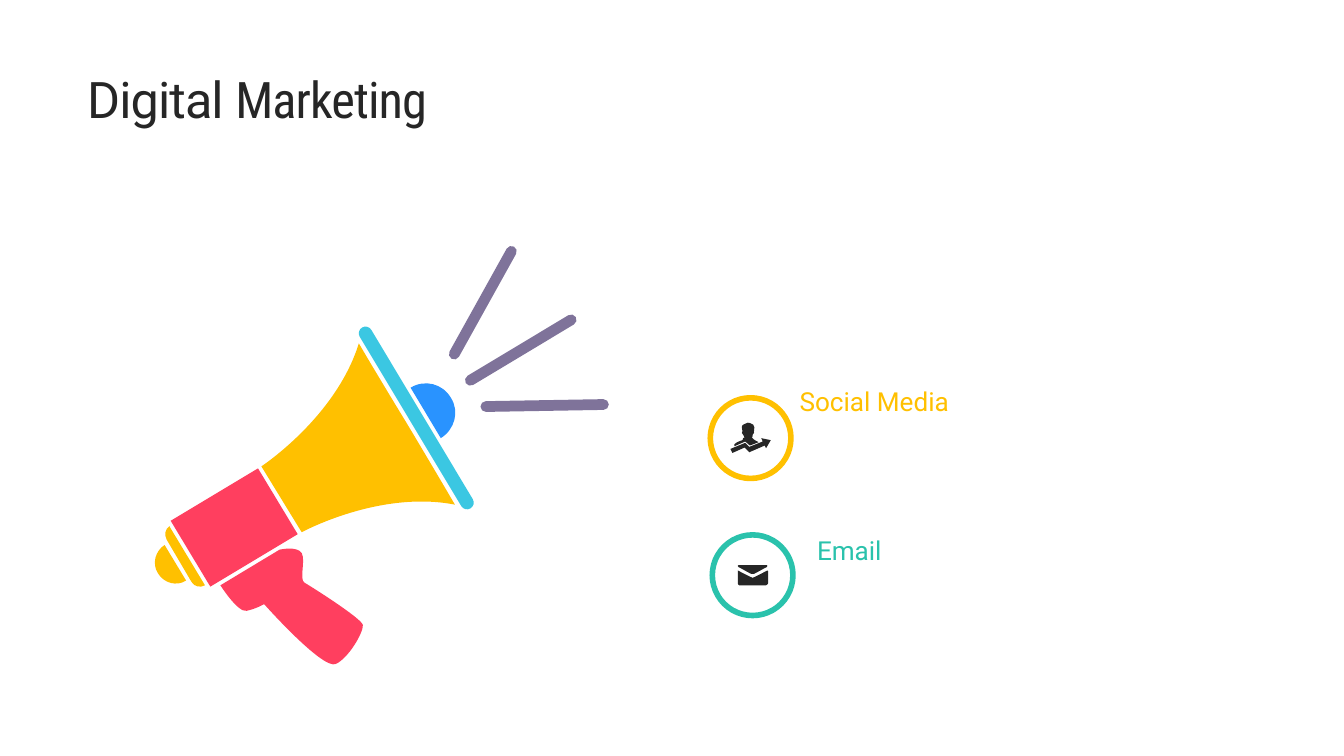
from dataclasses import dataclass
import math

from lxml import etree
from pptx import Presentation, util as u
from pptx.dml.color import RGBColor
from pptx.enum import shapes, text
from pptx.oxml import ns

PX = 9144
TILT = 5.7
ROUND = 0.55
COLOURS = {
    "ink": "262626",
    "teal": "2AC2AC",
    "yellow": "FFC000",
    "red": "FF3F5F",
    "cyan": "3BC7E2",
    "blue": "2993FF",
    "purple": "7F739A",
}
TAGS = {"M": "a:moveTo", "L": "a:lnTo", "C": "a:cubicBezTo"}
Point = tuple[float, float]
Segment = tuple[str, list[Point]]


@dataclass(frozen=True)
class Part:
    colour: str
    outline: str


@dataclass(frozen=True)
class Bar:
    colour: str
    start: Point
    end: Point
    radius: float


@dataclass(frozen=True)
class Channel:
    name: str
    colour: str
    label_at: tuple[int, int]
    ring_at: tuple[int, int]
    icon: tuple[str, ...]


ENVELOPE = (
    "M 1099 844 C 1100 844 1117 854 1118 854 C 1118 854 1119 854 1120 854 "
    "C 1121 854 1122 854 1122 854 C 1123 854 1140 844 1141 844 "
    "C 1142 843 1143 841 1141 841 L 1099 841 C 1097 841 1098 843 1099 844 Z "
    "M 1142 849 C 1140 850 1123 859 1122 859 C 1121 860 1121 860 1120 860 "
    "C 1119 860 1119 860 1118 859 C 1117 859 1100 850 1098 849 "
    "C 1097 849 1098 849 1098 850 L 1098 868 C 1098 869 1099 871 1100 871 "
    "L 1140 871 C 1141 871 1143 869 1143 868 L 1143 850 C 1143 849 1143 849 1142 849 Z"
)
PERSON = (
    "M 1109 657 L 1116 663 L 1129 658 C 1128 657 1126 656 1125 656 "
    "C 1124 655 1123 655 1122 654 C 1121 654 1121 653 1120 652 "
    "C 1120 652 1119 652 1119 651 C 1119 650 1120 650 1120 649 "
    "C 1120 648 1120 648 1120 647 C 1122 646 1123 642 1122 642 "
    "C 1123 638 1123 633 1121 632 C 1120 631 1120 632 1119 631 "
    "C 1119 631 1119 631 1119 631 C 1118 630 1115 629 1113 629 "
    "C 1111 629 1109 630 1108 631 L 1106 632 C 1103 633 1104 638 1105 642 "
    "C 1103 642 1104 646 1106 647 C 1107 648 1106 648 1107 649 "
    "C 1107 650 1108 650 1108 651 C 1108 652 1107 652 1106 652 "
    "C 1106 653 1105 654 1105 655 C 1104 655 1103 655 1102 656 "
    "C 1099 657 1094 659 1093 661 C 1093 662 1093 663 1093 664 L 1109 657 Z"
)
ARROW = (
    "M 1133 652 L 1135 657 L 1115 665 L 1109 659 L 1087 668 L 1090 674 "
    "L 1108 666 L 1115 673 L 1138 663 L 1140 667 L 1147 655 L 1133 652 Z"
)
EMAIL = Channel("Email", "teal", (1206, 786), (1060, 796), (ENVELOPE,))
SOCIAL = Channel("Social Media", "yellow", (1180, 564), (1057, 592), (PERSON, ARROW))

BODY = Part("red", "M 443 795 L 313 873 L 254 775 L 384 697 L 443 795 Z")
HORN = Part("yellow", "M 389 694 C 419 743 419 743 419 743 C 449 792 449 792 449 792 "
            "C 449 792 565 729 677 751 C 649 703 606 631 606 631 "
            "C 606 631 562 559 534 511 C 500 621 389 694 389 694 Z")
END_CAP = Part("yellow", "M 252 783 C 246 787 244 796 248 803 C 285 866 285 866 285 866 "
               "C 289 873 298 875 305 871 L 252 783 Z")
KNOB = Part("yellow", "M 245 811 C 231 820 226 839 235 853 C 244 868 263 873 277 864 "
            "L 245 811 Z")
RIM = Bar("cyan", (544, 496), (695, 748), 10)
HANDLE = Part("red", "M 328 871 C 416 818 416 818 416 818 C 416 818 442 812 449 823 "
              "C 455 835 445 862 453 867 C 460 871 538 920 540 930 "
              "C 541 941 519 979 500 988 C 481 998 393 899 393 899 "
              "C 393 899 381 906 367 909 C 354 912 328 871 328 871 Z")
SPEAKER = Part("blue", "M 611 577 C 656 652 656 652 656 652 C 677 639 684 612 671 592 "
               "C 659 571 632 564 611 577 Z")
RAYS = [
    Bar("purple", start, end, 8)
    for start, end in [
        ((700, 566), (850, 476)),
        ((676, 527), (761, 374)),
        ((723, 605), (898, 602)),
    ]
]
MEGAPHONE = [BODY, HORN, END_CAP, KNOB, RIM, HANDLE, SPEAKER, *RAYS]


def rgb(colour: str) -> RGBColor:
    return RGBColor.from_string(COLOURS[colour])


def trace(outline: str) -> list[Segment]:
    tokens = iter(outline.split())
    counts = {"M": 1, "L": 1, "C": 3, "Z": 0}
    return [
        (command, [(int(next(tokens)), int(next(tokens))) for _ in range(counts[command])])
        for command in tokens
    ]


def capsule(bar: Bar) -> list[Segment]:
    (x1, y1), (x2, y2) = bar.start, bar.end
    length = math.dist(bar.start, bar.end)
    ux, uy = bar.radius * (x2 - x1) / length, bar.radius * (y2 - y1) / length

    def near(centre: Point, along: float, across: float) -> Point:
        return (centre[0] + along * ux - across * uy, centre[1] + along * uy + across * ux)

    segments: list[Segment] = [("M", [near(bar.start, 0, -1)])]
    for centre, way in ((bar.end, 1), (bar.start, -1)):
        segments += [
            ("L", [near(centre, 0, -way)]),
            ("C", [near(centre, a * way, b * way) for a, b in ((ROUND, -1), (1, -ROUND), (1, 0))]),
            ("C", [near(centre, a * way, b * way) for a, b in ((1, ROUND), (ROUND, 1), (0, 1))]),
        ]
    return [*segments, ("Z", [])]


def turn(point: Point, degrees: float) -> Point:
    cos, sin = math.cos(math.radians(degrees)), math.sin(math.radians(degrees))
    return (point[0] * cos - point[1] * sin, point[0] * sin + point[1] * cos)


def extent(segments: list[Segment]) -> tuple[Point, Point]:
    touched: list[Point] = []
    for command, points in segments:
        if command == "C":
            a, b, c, d = touched[-1], *points
            for t in (n / 10 for n in range(1, 11)):
                weights = ((1 - t) ** 3, 3 * t * (1 - t) ** 2, 3 * t * t * (1 - t), t ** 3)
                touched.append(tuple(
                    sum(w * p[axis] for w, p in zip(weights, (a, b, c, d))) for axis in (0, 1)
                ))
        else:
            touched += points
    xs, ys = zip(*touched)
    return (min(xs), min(ys)), (max(xs), max(ys))


def add_outline(parent, segments: list[Segment], colour: str, tilt: float = 0) -> None:
    level = [(command, [turn(p, -tilt) for p in points]) for command, points in segments]
    (left, top), (right, bottom) = extent(level)
    builder = parent.build_freeform(left * PX, top * PX, scale=1.0)
    builder.add_line_segments([(right * PX, bottom * PX)], close=True)
    outline = builder.convert_to_shape()
    route = outline._element.find(".//" + ns.qn("a:path"))
    for step in list(route):
        route.remove(step)
    for command, points in level:
        step = etree.SubElement(route, ns.qn(TAGS.get(command, "a:close")))
        for x, y in points:
            etree.SubElement(step, ns.qn("a:pt"), x=str(round((x - left) * PX)),
                             y=str(round((y - top) * PX)))
    if tilt:
        middle_x, middle_y = turn(((left + right) / 2, (top + bottom) / 2), tilt)
        outline.left = round((middle_x - (right - left) / 2) * PX)
        outline.top = round((middle_y - (bottom - top) / 2) * PX)
        outline.rotation = tilt
    outline.shadow.inherit = False
    outline.fill.solid()
    outline.fill.fore_color.rgb = rgb(colour)
    outline.line.fill.background()


def add_text(slide, runs: list[tuple[str, str]], box: tuple[int, int, int, int], *,
             size: int, colour: str, line_spacing: float, anchor=text.MSO_ANCHOR.TOP,
             bottom_inset: int = 5, tracking: int = 0, grow: bool = False) -> None:
    frame = slide.shapes.add_textbox(*(side * PX for side in box)).text_frame
    frame.word_wrap = True
    frame.auto_size = text.MSO_AUTO_SIZE.SHAPE_TO_FIT_TEXT if grow else text.MSO_AUTO_SIZE.NONE
    frame.vertical_anchor = anchor
    frame.margin_bottom = bottom_inset * PX
    paragraph = frame.paragraphs[0]
    paragraph.line_spacing = line_spacing
    for wording, family in runs:
        run = paragraph.add_run()
        run.text = wording
        run.font.name = family
        run.font.size = u.Pt(size)
        run.font.color.rgb = rgb(colour)
        if tracking:
            run.font._element.set("spc", str(tracking))


def add_channel(slide, channel: Channel) -> None:
    add_text(slide, [(channel.name, "Roboto")], (*channel.label_at, 633, 59),
             size=28, colour=channel.colour, line_spacing=1.1, grow=True)
    badge = slide.shapes.add_group_shape().shapes
    left, top = channel.ring_at
    ring = badge.add_shape(shapes.MSO_SHAPE.OVAL, left * PX, top * PX, 120 * PX, 120 * PX)
    ring.shadow.inherit = False
    ring.fill.background()
    ring.line.color.rgb = rgb(channel.colour)
    ring.line.width = u.Pt(6)
    for outline in channel.icon:
        add_outline(badge, trace(outline), "ink")


def main() -> None:
    deck = Presentation()
    deck.slide_width, deck.slide_height = 2000 * PX, 1125 * PX
    slide = deck.slides.add_slide(deck.slide_layouts[6])
    add_text(slide, [("Digital ", "Roboto"), ("Marketing", "Roboto Condensed")],
             (120, 83, 1400, 110), size=54, colour="ink", line_spacing=0.9,
             anchor=text.MSO_ANCHOR.BOTTOM, bottom_inset=0, tracking=-100)
    add_channel(slide, EMAIL)
    for part in MEGAPHONE:
        segments = capsule(part) if isinstance(part, Bar) else trace(part.outline)
        add_outline(slide.shapes, segments, part.colour, TILT)
    add_channel(slide, SOCIAL)
    deck.save("out.pptx")


if __name__ == "__main__":
    main()
